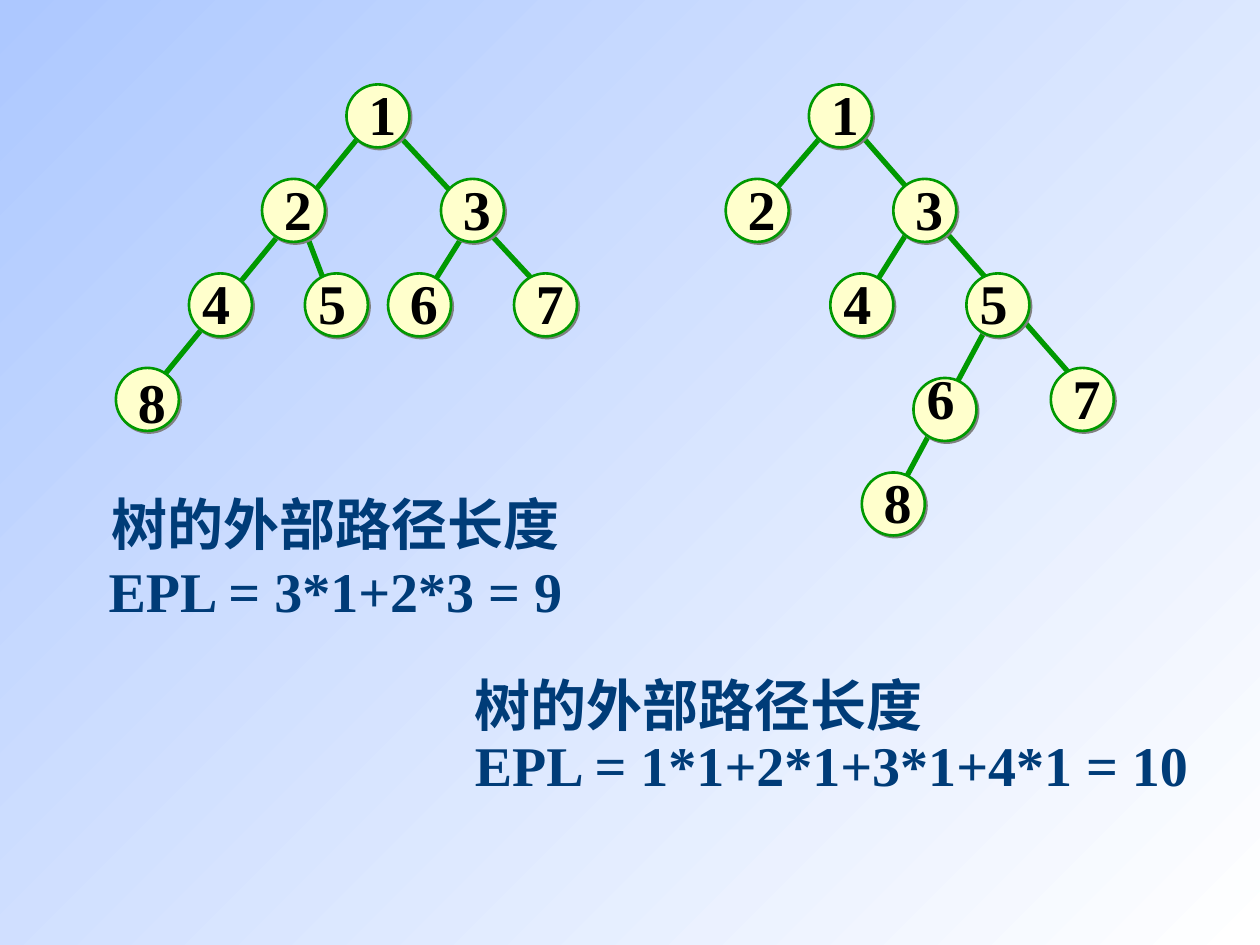
from dataclasses import dataclass

from lxml.etree import SubElement
from pptx import Presentation
from pptx.dml.color import RGBColor as Color
from pptx.enum.shapes import MSO_CONNECTOR as Connector, MSO_SHAPE as Shape
from pptx.enum.text import MSO_ANCHOR as Anchor, MSO_AUTO_SIZE as AutoSize, PP_ALIGN as Align
from pptx.oxml.ns import qn
from pptx.util import Inches, Pt


@dataclass(frozen=True)
class Theme:
    background: tuple = ("ADC8FF", "FFFFFF")
    edge: str = "009900"
    node: str = "FFFFCC"
    shadow: str = "808080"
    label: str = "000000"
    caption: str = "003C78"
    font: str = "Times New Roman"
    text_size: int = 32
    edge_width: float = 3
    outline_width: float = 1.5
    shadow_distance: float = 1.4


@dataclass(frozen=True)
class Node:
    label: str
    left: float
    top: float
    label_shift: float = -0.01
    label_rise: float = 0.09


NODE_SIZE = 0.5
LABEL_SIZE = (0.59, 0.64)
LEFT_SHIFT = -0.08

BALANCED_EDGES = [
    (3.75, 1.75, 3.33, 2.42),
    (2.42, 1.83, 2.58, 2.25),
    (3.17, 1.08, 4.33, 2.33),
    (2.92, 1, 1.08, 3.25),
]
BALANCED_NODES = [
    Node("1", 2.75, 0.67),
    Node("2", 2.08, 1.42),
    Node("3", 3.5, 1.42),
    Node("4", 1.5, 2.17, LEFT_SHIFT),
    Node("5", 2.42, 2.17, LEFT_SHIFT),
    Node("6", 3.08, 2.17),
    Node("7", 4.08, 2.17),
    Node("8", 0.92, 2.92, label_rise=0.06),
]
SKEWED_EDGES = [
    (7.26, 1.75, 6.84, 2.42),
    (7.84, 2.58, 7.17, 3.83),
    (6.84, 1.08, 8.59, 3.08),
    (6.59, 1, 6.09, 1.58),
]
SKEWED_NODES = [
    Node("1", 6.42, 0.67),
    Node("2", 5.76, 1.42),
    Node("3", 7.09, 1.42),
    Node("4", 6.59, 2.17, LEFT_SHIFT),
    Node("5", 7.67, 2.17, LEFT_SHIFT),
    Node("6", 7.25, 3, LEFT_SHIFT, 0.17),
    Node("7", 8.34, 2.92),
    Node("8", 6.84, 3.75),
]


class TreeSlide:
    def __init__(self, slide, theme):
        self.slide = slide
        self.theme = theme

    def background(self):
        fill = self.slide.background.fill
        fill.gradient()
        fill.gradient_angle = 315
        for stop, color, position in zip(fill.gradient_stops, self.theme.background, (0, 1)):
            stop.color.rgb = Color.from_string(color)
            stop.position = position

    def edge(self, *ends):
        connector = self.slide.shapes.add_connector(Connector.STRAIGHT, *map(Inches, ends))
        connector.line.color.rgb = Color.from_string(self.theme.edge)
        connector.line.width = Pt(self.theme.edge_width)
        SubElement(connector.element.spPr, qn("a:effectLst"))

    def circle(self, node):
        box = map(Inches, (node.left, node.top, NODE_SIZE, NODE_SIZE))
        shape = self.slide.shapes.add_shape(Shape.OVAL, *box)
        shape.fill.solid()
        shape.fill.fore_color.rgb = Color.from_string(self.theme.node)
        shape.line.color.rgb = Color.from_string(self.theme.edge)
        shape.line.width = Pt(self.theme.outline_width)
        shape.shadow.inherit = False
        effects = shape.element.spPr.find(qn("a:effectLst"))
        shadow = SubElement(
            effects, qn("a:outerShdw"), dist=str(Pt(self.theme.shadow_distance)), dir="2700000"
        )
        SubElement(shadow, qn("a:srgbClr"), val=self.theme.shadow)

    def text(self, lines, box, color, align, wrap, line_spacing=None):
        frame = self.slide.shapes.add_textbox(*map(Inches, box)).text_frame
        frame.word_wrap = wrap
        frame.auto_size = AutoSize.SHAPE_TO_FIT_TEXT
        frame.vertical_anchor = Anchor.MIDDLE
        frame.text = "\n".join(lines)
        for paragraph in frame.paragraphs:
            paragraph.alignment = align
            paragraph.line_spacing = line_spacing
            font = paragraph.font
            font.name = self.theme.font
            font.size = Pt(self.theme.text_size)
            font.bold = True
            font.color.rgb = Color.from_string(color)

    def label(self, node):
        box = (node.left + node.label_shift, node.top - node.label_rise, *LABEL_SIZE)
        self.text([node.label], box, self.theme.label, Align.CENTER, True)

    def caption(self, formula, box, align, line_spacing=None):
        lines = ["树的外部路径长度", formula]
        self.text(lines, box, self.theme.caption, align, False, line_spacing)

    def tree(self, edges, nodes):
        for edge in edges:
            self.edge(*edge)
        for node in nodes:
            self.circle(node)
        for node in nodes:
            self.label(node)


def main():
    presentation = Presentation()
    presentation.slide_width = Inches(10)
    presentation.slide_height = Inches(7.5)
    slide = presentation.slides.add_slide(presentation.slide_layouts[6])
    page = TreeSlide(slide, Theme())
    page.background()
    page.tree(BALANCED_EDGES, BALANCED_NODES)
    page.tree(SKEWED_EDGES, SKEWED_NODES)
    page.caption("EPL = 3*1+2*3 = 9", (0.75, 3.83, 3.83, 1.17), Align.CENTER)
    page.caption("EPL = 1*1+2*1+3*1+4*1 = 10", (3.67, 5.33, 5.89, 1.06), Align.LEFT, 0.9)
    presentation.save("out.pptx")


if __name__ == "__main__":
    main()
